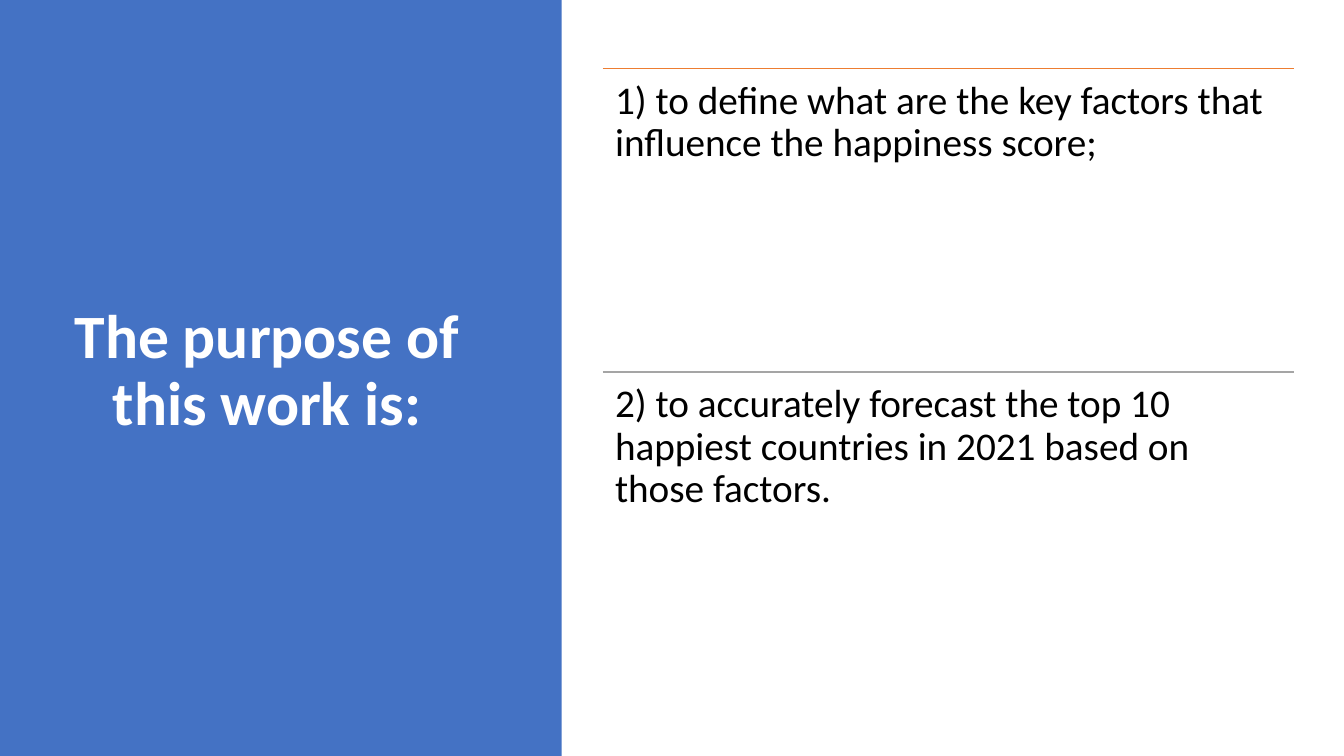
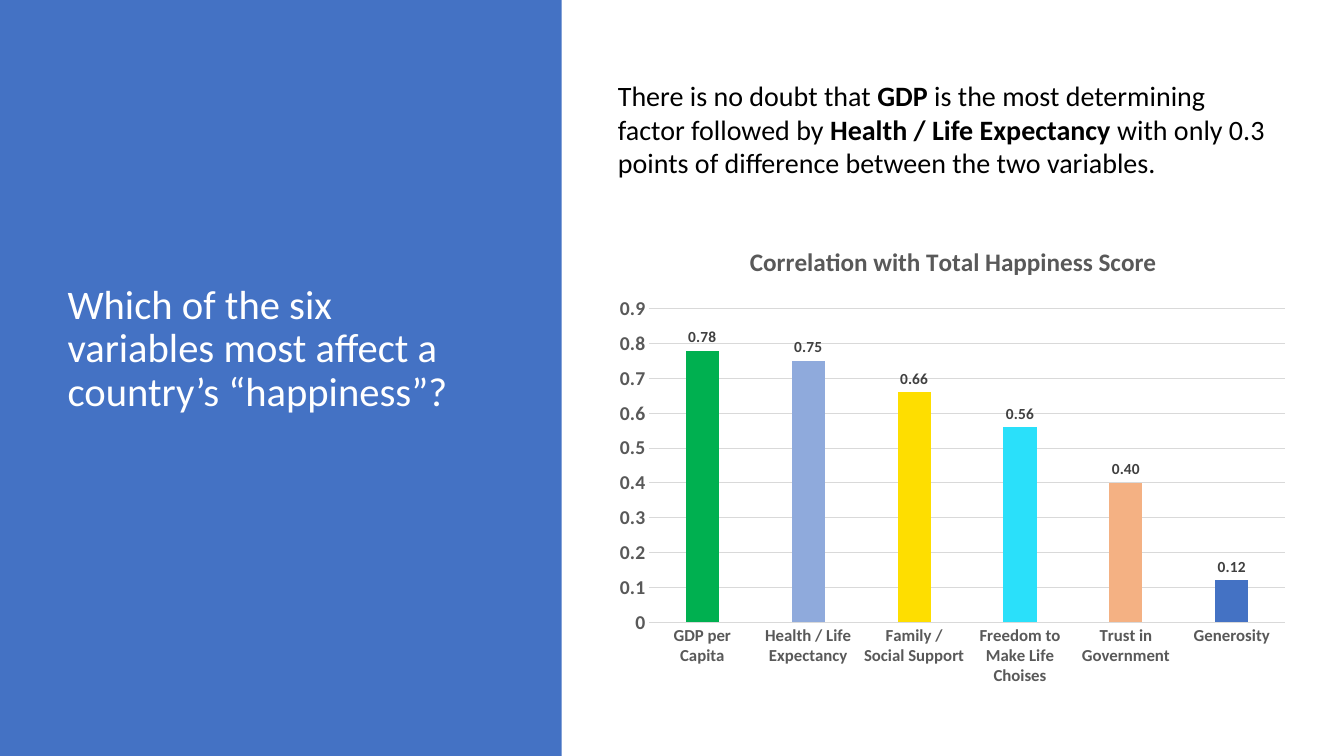
from lxml import etree
from pptx import Presentation
from pptx import util as u
from pptx.chart import data as chart_data
from pptx.dml import color as dml
from pptx.enum import chart as chart_enum, shapes, text
from pptx.oxml import ns

FONT = "Calibri"
BLUE, WHITE, BLACK = "4472C4", "FFFFFF", "000000"
GREY, PALE_GREY, DARK_GREY = "595959", "D9D9D9", "404040"


def rgb(value):
    return dml.RGBColor.from_string(value)


def style(font, size, color, bold=False):
    font.name = FONT
    font.size = u.Pt(size)
    font.bold = bold
    font.color.rgb = rgb(color)


presentation = Presentation()
presentation.slide_width = u.Inches(13.33)
presentation.slide_height = u.Inches(7.5)

# Shared blue band and title: text, top, size, bold, alignment
titles = [
    ("The purpose of\vthis work is:", 0.68, 44, True, text.PP_ALIGN.CENTER),
    ("Which of the six variables most affect a country’s “happiness”?",
     0.46, 29, False, text.PP_ALIGN.LEFT),
]
slides = []
for wording, top, size, bold, alignment in titles:
    slide = presentation.slides.add_slide(presentation.slide_layouts[5])
    band = slide.shapes.add_shape(shapes.MSO_SHAPE.RECTANGLE, 0, 0,
                                  u.Inches(5.57), presentation.slide_height)
    band.shadow.inherit = False
    band.fill.solid()
    band.fill.fore_color.rgb = rgb(BLUE)
    band.line.fill.background()
    slide.shapes.title._element.addprevious(band._element)

    title = slide.shapes.title
    title.left, title.top = u.Inches(0.57), u.Inches(top)
    title.width, title.height = u.Inches(4.16), u.Inches(6.02)
    frame = title.text_frame
    frame.text = wording
    frame.word_wrap = True
    frame.auto_size = text.MSO_AUTO_SIZE.NONE
    frame.vertical_anchor = text.MSO_ANCHOR.MIDDLE
    paragraph = frame.paragraphs[0]
    paragraph.alignment = alignment
    paragraph.line_spacing = 0.9
    for run in paragraph.runs:
        style(run.font, size, WHITE, bold)
    slides.append(slide)
purpose_slide, factors_slide = slides

# Purposes, each under a rule
purposes = [
    ("1) to define what are the key factors that influence the happiness score;",
     "ED7D31"),
    ("2) to accurately forecast the top 10 happiest countries in 2021 based on "
     "those factors.", "A5A5A5"),
]
left, width, height = u.Inches(5.98), u.Inches(6.85), u.Inches(3.01)
for index, (wording, color) in enumerate(purposes):
    top = u.Inches(0.68) + index * height
    rule = purpose_slide.shapes.add_connector(
        shapes.MSO_CONNECTOR.STRAIGHT, left, top, left + width, top)
    rule.line.color.rgb = rgb(color)
    rule.line.width = u.Pt(1)
    etree.SubElement(rule._element.spPr, ns.qn("a:effectLst"))

    box = purpose_slide.shapes.add_textbox(left, top, width, height)
    frame = box.text_frame
    frame.word_wrap = True
    frame.margin_left = frame.margin_right = u.Inches(0.12)
    frame.margin_top = frame.margin_bottom = u.Inches(0.12)
    frame.text = wording
    frame.paragraphs[0].line_spacing = 0.9
    style(frame.paragraphs[0].runs[0].font, 28, BLACK)

# Correlation chart
factors = [
    ("GDP per Capita", 0.78, "00B050"),
    ("Health / Life Expectancy", 0.75, "8FAADC"),
    ("Family / Social Support", 0.66, "FEDE00"),
    ("Freedom to Make Life Choises", 0.56, "2AE0FA"),
    ("Trust in Government", 0.4, "F4B183"),
    ("Generosity", 0.12, BLUE),
]
data = chart_data.CategoryChartData()
data.categories = [name for name, value, color in factors]
data.add_series("Series 1", [value for name, value, color in factors])
chart = factors_slide.shapes.add_chart(
    chart_enum.XL_CHART_TYPE.COLUMN_CLUSTERED, u.Inches(6.03), u.Inches(2.23),
    u.Inches(6.85), u.Inches(4.64), data).chart
style(chart.font, 10, BLACK)
chart.has_legend = False
chart.has_title = True
chart.chart_title.include_in_layout = False
chart.chart_title.text_frame.text = "Correlation with Total Happiness Score"
style(chart.chart_title.text_frame.paragraphs[0].runs[0].font, 18, GREY, True)

# Columns and their labels
plot = chart.plots[0]
plot.vary_by_categories = False
plot.gap_width, plot.overlap = 219, -27
series = plot.series[0]
for index, (name, value, color) in enumerate(factors):
    fill = series.points[index].format.fill
    fill.solid()
    fill.fore_color.rgb = rgb(color)
labels = series.data_labels
labels.show_value = True
labels.number_format = "#,##0.00"
labels.number_format_is_linked = False
labels.position = chart_enum.XL_LABEL_POSITION.OUTSIDE_END
style(labels.font, 11, DARK_GREY, True)

# Axes
for axis, size in ((chart.category_axis, 12), (chart.value_axis, 14)):
    axis.major_tick_mark = axis.minor_tick_mark = chart_enum.XL_TICK_MARK.NONE
    style(axis.tick_labels.font, size, GREY, True)
value_axis = chart.value_axis
value_axis.minimum_scale, value_axis.maximum_scale = 0, 0.9
value_axis.major_unit = 0.1
value_axis.format.line.fill.background()
value_axis.has_major_gridlines = True
for line in (chart.category_axis.format.line, value_axis.major_gridlines.format.line):
    line.color.rgb = rgb(PALE_GREY)
    line.width = u.Pt(0.75)

# Fixed plot area, as shares of the chart
plot_area = chart._chartSpace.chart.plotArea
for old_layout in plot_area.findall(ns.qn("c:layout")):
    plot_area.remove(old_layout)
layout = etree.Element(ns.qn("c:layout"))
manual = etree.SubElement(layout, ns.qn("c:manualLayout"))
for tag, value in (("layoutTarget", "inner"), ("xMode", "edge"), ("yMode", "edge"),
                   ("x", "0.06"), ("y", "0.18"), ("w", "0.92"), ("h", "0.67")):
    etree.SubElement(manual, ns.qn("c:" + tag)).set("val", value)
plot_area.insert(0, layout)

# Finding above the chart
box = factors_slide.shapes.add_textbox(u.Inches(6.03), u.Inches(0.73),
                                       u.Inches(6.73), u.Inches(1.41))
box.text_frame.word_wrap = True
finding = [
    ("There is no doubt that ", False),
    ("GDP", True),
    (" is the most determining factor followed by ", False),
    ("Health / Life Expectancy ", True),
    ("with only 0.3 points of difference between the two variables.", False),
]
for wording, bold in finding:
    run = box.text_frame.paragraphs[0].add_run()
    run.text = wording
    style(run.font, 20, BLACK, bold)

presentation.save("out.pptx")
